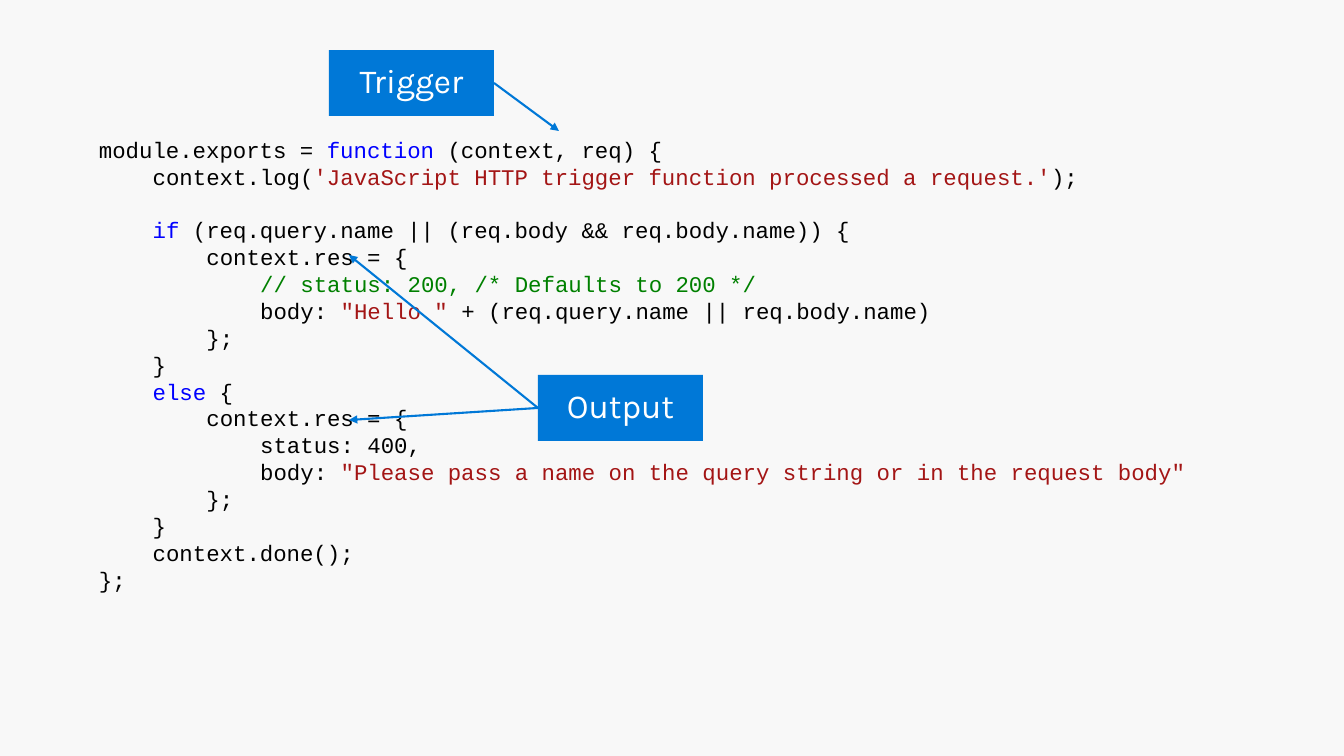
from lxml import etree
from pptx import Presentation
from pptx.dml.color import RGBColor
from pptx.enum.shapes import MSO_CONNECTOR, MSO_SHAPE
from pptx.enum.text import MSO_ANCHOR, PP_ALIGN
from pptx.oxml.ns import qn
from pptx.util import Emu, Pt

STRAIGHT = MSO_CONNECTOR.STRAIGHT
RECT = MSO_SHAPE.RECTANGLE
MIDDLE = MSO_ANCHOR.MIDDLE
CENTER = PP_ALIGN.CENTER

PAPER = RGBColor(0xF8, 0xF8, 0xF8)
BLUE = RGBColor(0x00, 0x78, 0xD7)
WHITE = RGBColor(0xFF, 0xFF, 0xFF)
BLACK = RGBColor(0x00, 0x00, 0x00)
KEYWORD = RGBColor(0x00, 0x00, 0xFF)
STRING = RGBColor(0xA3, 0x15, 0x15)
REMARK = RGBColor(0x00, 0x80, 0x00)

LEFT, RIGHT = 1, 3
LEADING = Pt(19.2)
INDENT = Pt(38.4)

CODE = [
    (0, 0, [("module.exports = ", BLACK), ("function", KEYWORD), (" (context, req) {", BLACK)]),
    (1, 0, [("context.log(", BLACK),
            ("'JavaScript HTTP trigger function processed a request.'", STRING), (");", BLACK)]),
    (1, 1, [("if", KEYWORD), (" (req.query.name || (req.body && req.body.name)) {", BLACK)]),
    (2, 0, [("context.res = {", BLACK)]),
    (3, 0, [("// status: 200, /* Defaults to 200 */", REMARK)]),
    (3, 0, [("body: ", BLACK), ('"Hello "', STRING),
            (" + (req.query.name || req.body.name)", BLACK)]),
    (2, 0, [("};", BLACK)]),
    (1, 0, [("}", BLACK)]),
    (1, 0, [("else", KEYWORD), (" {", BLACK)]),
    (2, 0, [("context.res = {", BLACK)]),
    (3, 0, [("status: 400,", BLACK)]),
    (3, 0, [("body: ", BLACK),
            ('"Please pass a name on the query string or in the request body"', STRING)]),
    (2, 0, [("};", BLACK)]),
    (1, 0, [("}", BLACK)]),
    (1, 0, [("context.done();", BLACK)]),
    (0, 0, [("};", BLACK)]),
]


def px(count):
    return Emu(round(count * 914400 / 100.8))


class Deck:
    def __init__(self, width, height):
        self.prs = Presentation()
        self.prs.slide_width = px(width)
        self.prs.slide_height = px(height)
        self.slide = self.prs.slides.add_slide(self.prs.slide_layouts[6])
        fill = self.slide.background.fill
        fill.solid()
        fill.fore_color.rgb = PAPER
        self.shapes = self.slide.shapes

    def put(self, para, text, font, size, color):
        run = para.add_run()
        run.text = text
        run.font.name = font
        run.font.size = Pt(size)
        run.font.color.rgb = color

    def code(self, x, y, w, h, lines):
        frame = self.shapes.add_textbox(px(x), px(y), px(w), px(h)).text_frame
        frame.word_wrap = True
        for i, (level, gap, runs) in enumerate(lines):
            para = frame.add_paragraph() if i else frame.paragraphs[0]
            para.line_spacing = LEADING
            para.space_before = Emu(gap * LEADING)
            props = para._p.get_or_add_pPr()
            props.set("marL", str(level * INDENT))
            props.set("indent", "0")
            for text, color in runs:
                self.put(para, text, "Courier New", 16, color)

    def label(self, x, y, text):
        box = self.shapes.add_shape(RECT, px(x), px(y), px(165), px(66))
        box.shadow.inherit = False
        box.fill.solid()
        box.fill.fore_color.rgb = BLUE
        box.line.fill.background()
        frame = box.text_frame
        frame.word_wrap = True
        frame.vertical_anchor = MIDDLE
        frame.margin_left = frame.margin_right = px(20)
        frame.margin_top = frame.margin_bottom = px(16)
        para = frame.paragraphs[0]
        para.alignment = CENTER
        para.line_spacing = 0.9
        self.put(para, text, "Karla", 24, WHITE)
        return box

    def arrow(self, box, side, x, y):
        link = self.shapes.add_connector(STRAIGHT, px(0), px(0), px(x), px(y))
        link.begin_connect(box, side)
        link.line.color.rgb = BLUE
        link.line.width = Pt(1.5)
        props = link._element.spPr
        tail = etree.SubElement(props.find(qn("a:ln")), qn("a:tailEnd"))
        tail.set("type", "triangle")
        etree.SubElement(props, qn("a:effectLst"))

    def save(self):
        self.prs.save("out.pptx")


def main():
    deck = Deck(1344, 756)
    deck.code(89, 131, 1166, 472, CODE)
    trigger = deck.label(329, 50, "Trigger")
    deck.arrow(trigger, RIGHT, 559, 131)
    output = deck.label(538, 375, "Output")
    for y in (420, 255):
        deck.arrow(output, LEFT, 349, y)
    deck.save()


if __name__ == "__main__":
    main()
